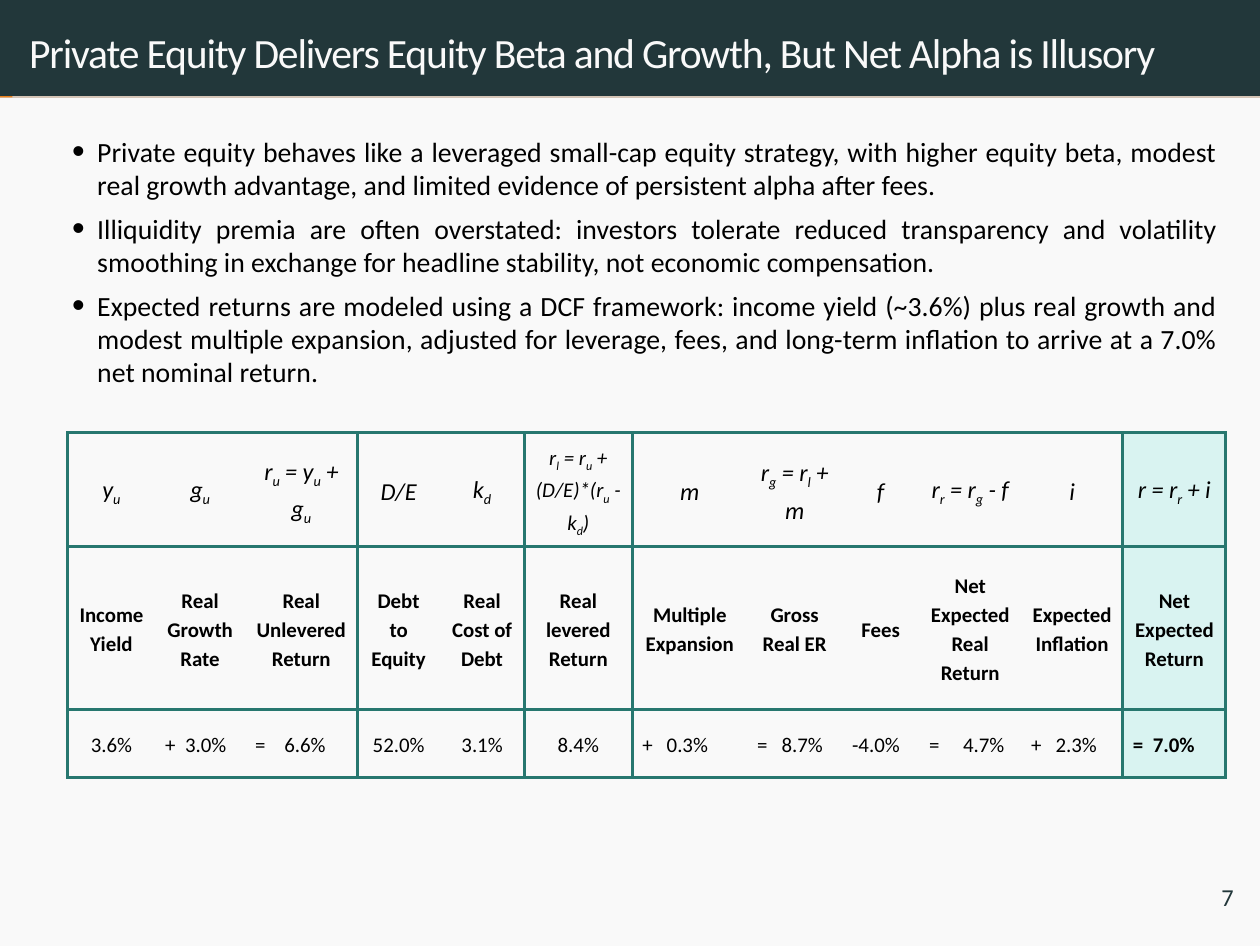
from dataclasses import dataclass

from lxml.etree import SubElement
from pptx import Presentation
from pptx.dml.color import RGBColor
from pptx.enum.shapes import MSO_CONNECTOR as Connector, MSO_SHAPE as Shape
from pptx.enum.text import MSO_ANCHOR as Anchor, MSO_AUTO_SIZE as AutoSize, PP_ALIGN as Align
from pptx.oxml.ns import qn
from pptx.util import Pt


@dataclass(frozen=True)
class Theme:
    font: str = "Calibri"
    paper: str = "F9F9F9"
    dark: str = "22373A"
    ink: str = "000000"
    track: str = "D5C5B6"
    accent: str = "EB811B"
    border: str = "27776F"
    highlight: str = "D9F3F1"
    title_size: float = 12
    body_size: float = 8
    symbol_size: float = 7
    table_size: float = 6


THEME = Theme()
WIDTH, HEIGHT = 363, 272.5
HEADER_HEIGHT = 27.7

TITLE = "Private Equity Delivers Equity Beta and Growth, But Net Alpha is Illusory"
POINTS = [
    "Private equity behaves like a leveraged small-cap equity strategy, with higher equity beta, "
    "modest real growth advantage, and limited evidence of persistent alpha after fees.",
    "Illiquidity premia are often overstated: investors tolerate reduced transparency and "
    "volatility smoothing in exchange for headline stability, not economic compensation.",
    "Expected returns are modeled using a DCF framework: income yield (~3.6%) plus real growth "
    "and modest multiple expansion, adjusted for leverage, fees, and long-term inflation to "
    "arrive at a 7.0% net nominal return.",
]

# Column width, formula ("_" lowers the next letter), label, value, extra gap after the operator
COLUMNS = [
    (25.2, "y_u", "Income Yield", "3.6%", 0),
    (25.9, "g_u", "Real Growth Rate", "+ 3.0%", 1.4),
    (32.4, "r_u = y_u + g_u", "Real Unlevered Return", "= 6.6%", 4.1),
    (23.7, "D/E", "Debt to Equity", "52.0%", 0),
    (24.4, "k_d", "Real Cost of Debt", "3.1%", 0),
    (31.1, "r_l = r_u + (D/E)*(r_u - k_d)", "Real levered Return", "8.4%", 0),
    (33.1, "m", "Multiple Expansion", "+ 0.3%", 2.7),
    (27.4, "r_g = r_l + m", "Gross Real ER", "= 8.7%", 2.7),
    (22.2, "f", "Fees", "-4.0%", 0),
    (29.4, "r_r = r_g - f", "Net Expected Real Return", "= 4.7%", 5.4),
    (29.3, "i", "Expected Inflation", "+ 2.3%", 2.7),
    (29.7, "r = r_r + i", "Net Expected Return", "= 7.0%", 1.4),
]
ROW_HEIGHTS = [32.8, 46.9, 19.5]
GROUP_STARTS = [0, 3, 5, 6, 11]
LEVERED, FEES, RESULT = 5, 8, 11


def color(value):
    return RGBColor.from_string(value)


def split_runs(text, spacing, gap):
    """Yield (text, is subscript, letter spacing) for each run."""
    if gap:
        operator, value = text.split(" ")
        return [(operator, False, spacing), (" ", False, gap), (value, False, spacing)]
    first, *others = text.split("_")
    runs = [(first, False, spacing)]
    for part in others:
        runs += [(part[0], True, spacing), (part[1:], False, spacing)]
    return [run for run in runs if run[0]]


def write(paragraph, text, size=THEME.table_size, ink=THEME.ink, bold=False, italic=False,
          align=Align.LEFT, before=0, after=0, line=1.0, spacing=0, gap=0, margin=0, indent=0):
    """Fill a paragraph; gap widens the space between an operator and its value."""
    paragraph.alignment = align
    paragraph.space_before, paragraph.space_after = Pt(before), Pt(after)
    paragraph.line_spacing = line
    properties = paragraph._p.get_or_add_pPr()
    properties.set("marL", str(Pt(margin)))
    properties.set("indent", str(Pt(indent)))
    for piece, lowered, letter_spacing in split_runs(text, spacing, gap):
        run = paragraph.add_run()
        run.text = piece
        font = run.font
        font.name, font.size, font.bold, font.italic = THEME.font, Pt(size), bold, italic
        font.color.rgb = color(ink)
        if lowered:
            run._r.get_or_add_rPr().set("baseline", "-25000")
        if letter_spacing:
            run._r.get_or_add_rPr().set("spc", str(round(letter_spacing * 100)))


def place(shape, left, top, width, height, inset=0.7):
    """Position a text shape and return its prepared text frame."""
    shape.left, shape.top, shape.width, shape.height = Pt(left), Pt(top), Pt(width), Pt(height)
    frame = shape.text_frame
    frame.word_wrap, frame.auto_size = True, AutoSize.NONE
    frame.vertical_anchor = Anchor.TOP
    frame.margin_left = frame.margin_right = frame.margin_bottom = 0
    frame.margin_top = Pt(inset)
    return frame


def bring_to_front(slide, shape):
    slide.shapes._spTree.append(shape._element)


def add_bar(slide, top, width, height, fill):
    bar = slide.shapes.add_shape(Shape.RECTANGLE, 0, Pt(top), Pt(width), Pt(height))
    bar.shadow.inherit = False
    bar.fill.solid()
    bar.fill.fore_color.rgb = color(fill)
    bar.line.fill.background()


def add_rule(slide, top):
    rule = slide.shapes.add_connector(Connector.STRAIGHT, 0, Pt(top), Pt(WIDTH), Pt(top))
    rule.line.color.rgb, rule.line.width = color(THEME.track), Pt(0.4)
    SubElement(rule._element.spPr, qn("a:effectLst"))


def add_header(slide):
    add_bar(slide, 0, WIDTH, HEADER_HEIGHT, THEME.dark)
    title = slide.shapes.title
    bring_to_front(slide, title)
    frame = place(title, 7.5, 7, 359, 16)
    write(frame.paragraphs[0], TITLE, size=THEME.title_size, ink=THEME.paper,
          before=0.9, spacing=-0.33, margin=0.9)
    # Progress line
    add_rule(slide, HEADER_HEIGHT + 0.2)
    add_bar(slide, HEADER_HEIGHT, WIDTH, 0.4, THEME.track)
    add_bar(slide, HEADER_HEIGHT, 3.6, 0.4, THEME.accent)


def add_points(slide):
    body = slide.placeholders[1]
    bring_to_front(slide, body)
    frame = place(body, 13.6, 38, 337.5, 75)
    for index, point in enumerate(POINTS):
        paragraph = frame.add_paragraph() if index else frame.paragraphs[0]
        write(paragraph, point, size=THEME.body_size, align=Align.JUSTIFY, before=3,
              margin=14.4, indent=-7.2)
        properties = paragraph._p.get_or_add_pPr()
        SubElement(properties, qn("a:buSzPct"), val="130000")
        SubElement(properties, qn("a:buChar"), char="•")


def set_borders(cell, visible):
    properties = cell._tc.get_or_add_tcPr()
    for side in "LRTB":
        line = SubElement(properties, qn(f"a:ln{side}"), w=str(Pt(1)))
        if side in visible:
            fill = SubElement(line, qn("a:solidFill"))
            SubElement(fill, qn("a:srgbClr"), val=THEME.border)
        else:
            SubElement(line, qn("a:noFill"))


def format_cell(cell, column):
    starts = column in GROUP_STARTS
    ends = column + 1 in GROUP_STARTS + [len(COLUMNS)]
    set_borders(cell, "TB" + "L" * starts + "R" * ends)
    if column == RESULT:
        cell.fill.solid()
        cell.fill.fore_color.rgb = color(THEME.highlight)
    else:
        cell.fill.background()
    cell.vertical_anchor = Anchor.MIDDLE
    cell.margin_left = cell.margin_right = Pt(2.9)
    cell.margin_top = cell.margin_bottom = 0


def add_return_table(slide):
    table = slide.shapes.add_table(len(ROW_HEIGHTS), len(COLUMNS), Pt(19.5), Pt(124.7),
                                   Pt(sum(column[0] for column in COLUMNS)),
                                   Pt(sum(ROW_HEIGHTS))).table
    table.first_row = table.horz_banding = False
    for row, height in zip(table.rows, ROW_HEIGHTS):
        row.height = Pt(height)
    for index, (width, formula, label, value, gap) in enumerate(COLUMNS):
        table.columns[index].width = Pt(width)
        formula_size = THEME.table_size if index == LEVERED else THEME.symbol_size
        value_align = Align.LEFT if gap or index == FEES else Align.CENTER
        formats = [
            (formula, dict(size=formula_size, italic=True, align=Align.CENTER)),
            (label, dict(bold=True, align=Align.CENTER)),
            (value, dict(bold=index == RESULT, align=value_align, gap=gap)),
        ]
        for row, (text, options) in enumerate(formats):
            cell = table.cell(row, index)
            format_cell(cell, index)
            write(cell.text_frame.paragraphs[0], text, after=8, line=1.15, **options)


def add_page_number(slide):
    box = slide.shapes.add_textbox(0, 0, 0, 0)
    frame = place(box, 351.2, 252.6, 11.5, 10, inset=1.4)
    write(frame.paragraphs[0], "7", size=THEME.symbol_size, ink=THEME.dark,
          before=1.4, spacing=-0.5, margin=0.7)


def main():
    presentation = Presentation()
    presentation.slide_width, presentation.slide_height = Pt(WIDTH), Pt(HEIGHT)
    slide = presentation.slides.add_slide(presentation.slide_layouts[1])
    slide.background.fill.solid()
    slide.background.fill.fore_color.rgb = color(THEME.paper)
    add_header(slide)
    add_points(slide)
    add_page_number(slide)
    add_return_table(slide)
    presentation.save("out.pptx")


if __name__ == "__main__":
    main()
